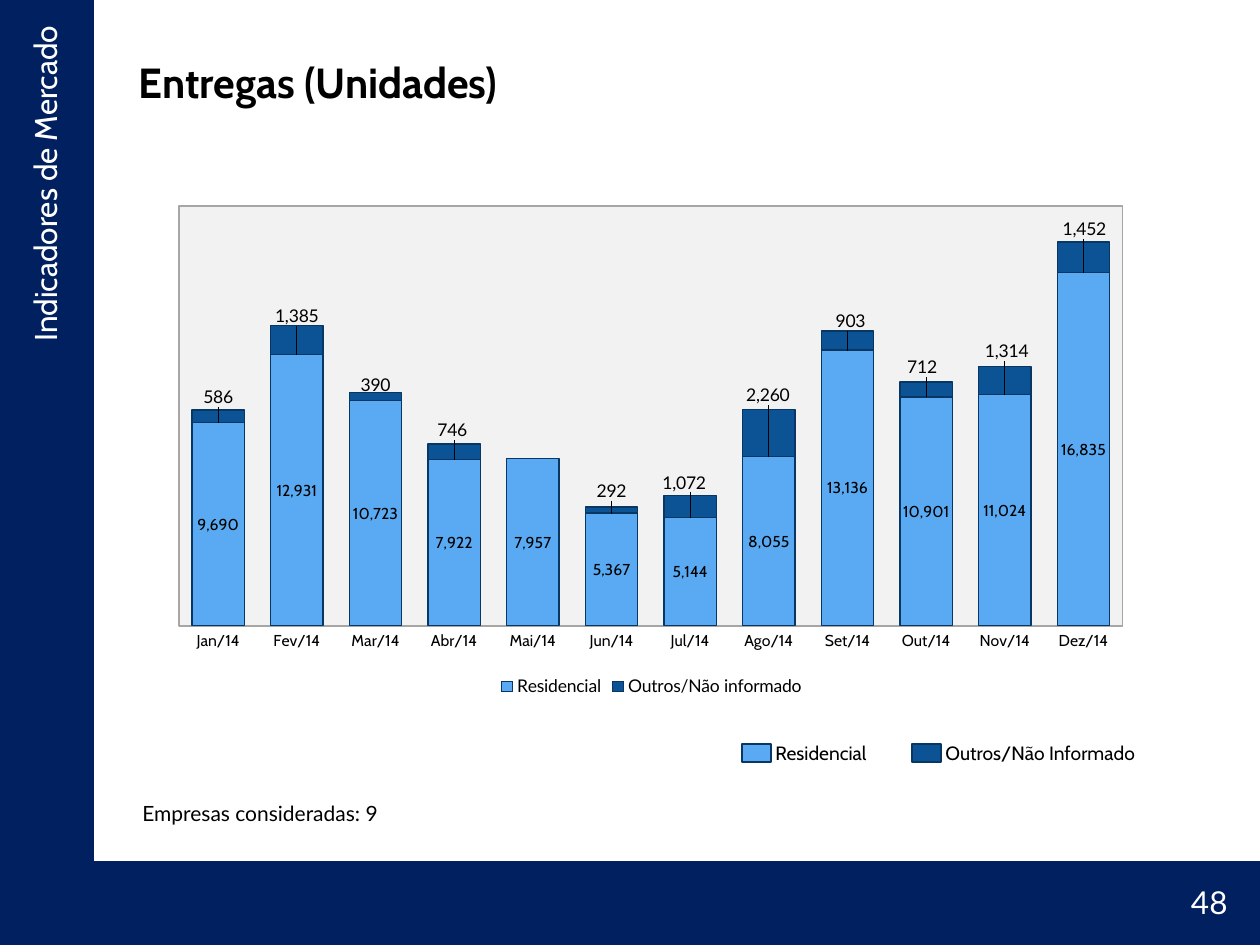
from copy import deepcopy
from dataclasses import dataclass

from lxml import etree
from pptx import Presentation
from pptx import util as u
from pptx.chart.data import CategoryChartData
from pptx.dml.color import RGBColor
from pptx.enum import chart as ch, shapes, text
from pptx.oxml.ns import qn

PX = u.Inches(1) / 126
COLORS = {"navy": "002060", "light": "59AAF2", "dark": "0B5394", "edge": "083763",
          "plot": "F2F2F2", "frame": "A6A6A6", "black": "000000", "white": "FFFFFF"}

MONTHS = "Jan Fev Mar Abr Mai Jun Jul Ago Set Out Nov Dez".split()
RESIDENTIAL = (9690, 12931, 10723, 7922, 7957, 5367, 5144, 8055, 13136, 10901, 11024, 16835)
OTHERS = (586, 1385, 390, 746, 0, 292, 1072, 2260, 903, 712, 1314, 1452)
# Label shifts in px, by month index; None removes the label
LABEL_SHIFTS = {0: (0, -10), 1: (0, -23), 3: (-2, -14), 4: None, 5: (0, -7), 6: (-6, -20),
                7: (-1, -46), 8: (3, -14), 9: (-4, -15), 10: (2, -28), 11: (1, -28)}


@dataclass
class Box:
    x: int
    y: int
    w: int
    h: int

    def emu(self) -> list:
        return [u.Emu(round(v * PX)) for v in (self.x, self.y, self.w, self.h)]


@dataclass
class Label:
    words: str
    box: Box
    size: int
    font: str = "Cabin"
    color: str = "black"
    align: text.PP_ALIGN = text.PP_ALIGN.LEFT
    rotation: int = 0
    wrap: bool = True


CHART = Box(160, 195, 983, 507)
PLOT = Box(19, 11, 944, 420)  # relative to the chart


def rgb(name: str) -> RGBColor:
    return RGBColor.from_string(COLORS[name])


def set_font(font, size: int, name: str, color: str = "black", bold: bool = False) -> None:
    for key, value in {"size": u.Pt(size), "name": name, "bold": bold}.items():
        setattr(font, key, value)
    font.color.rgb = rgb(color)


def paint(fmt, fill: str, line: str, width: float) -> None:
    fmt.fill.solid()
    fmt.fill.fore_color.rgb = rgb(fill)
    fmt.line.color.rgb = rgb(line)
    fmt.line.width = u.Pt(width)


def add_rect(slide, box: Box, fill: str, line: str = "") -> None:
    sp = slide.shapes.add_shape(shapes.MSO_SHAPE.RECTANGLE, *box.emu())
    sp.shadow.inherit = False
    paint(sp, fill, line or fill, 1)
    if not line:
        sp.line.fill.background()


def add_label(slide, label: Label) -> None:
    sp = slide.shapes.add_textbox(*label.box.emu())
    sp.rotation = label.rotation
    tf = sp.text_frame
    tf.word_wrap = label.wrap
    p = tf.paragraphs[0]
    p.alignment = label.align
    r = p.add_run()
    r.text = label.words
    set_font(r.font, label.size, label.font, label.color)


def sub(parent, tag: str, **attrs: str):
    return etree.SubElement(parent, qn(f"c:{tag}"), **attrs)


def add_layout(parent, **values: object):
    layout = sub(parent, "layout")
    manual = sub(layout, "manualLayout")
    for tag, value in values.items():
        sub(manual, tag, val=str(value))
    return layout


def shift_labels(labels_xml) -> None:
    """Move or remove single labels, keeping the format of the series labels."""
    for leader in labels_xml.findall(qn("c:showLeaderLines")):
        labels_xml.remove(leader)
    shared = [deepcopy(child) for child in labels_xml]
    for place, (idx, shift) in enumerate(LABEL_SHIFTS.items()):
        d_lbl = etree.Element(qn("c:dLbl"))
        sub(d_lbl, "idx", val=str(idx))
        if shift is None:
            sub(d_lbl, "delete", val="1")
        else:
            add_layout(d_lbl, x=round(shift[0] / CHART.w, 4), y=round(shift[1] / CHART.h, 4))
            d_lbl.extend([deepcopy(child) for child in shared])
        labels_xml.insert(place, d_lbl)


def format_plot_area(area) -> None:
    """Fix the plot area's position and give it a fill and a frame."""
    for old in area.findall(qn("c:layout")):
        area.remove(old)
    area.insert(0, add_layout(
        area, layoutTarget="inner", xMode="edge", yMode="edge",
        x=round(PLOT.x / CHART.w, 4), y=round(PLOT.y / CHART.h, 4),
        w=round(PLOT.w / CHART.w, 4), h=round(PLOT.h / CHART.h, 4)))
    sp_pr = sub(area, "spPr")
    line = etree.Element(qn("a:ln"), w=str(int(u.Pt(0.75))))
    for parent, color in ((sp_pr, "plot"), (line, "frame")):
        solid = etree.SubElement(parent, qn("a:solidFill"))
        etree.SubElement(solid, qn("a:srgbClr"), val=COLORS[color])
    sp_pr.append(line)


def add_deliveries_chart(slide) -> None:
    data = CategoryChartData(number_format="#,##0")
    data.categories = [f"{month}/14" for month in MONTHS]
    data.add_series("Residencial", RESIDENTIAL)
    data.add_series("Outros/Não informado", OTHERS)
    chart = slide.shapes.add_chart(ch.XL_CHART_TYPE.COLUMN_STACKED, *CHART.emu(), data).chart
    set_font(chart.font, 10, "Lato")
    chart.has_title = False
    chart.has_legend = True
    chart.legend.position = ch.XL_LEGEND_POSITION.BOTTOM
    chart.legend.include_in_layout = False

    # Axes
    axis = chart.value_axis
    for key, value in {"minimum_scale": 0, "maximum_scale": 20000,
                       "has_major_gridlines": False, "visible": False}.items():
        setattr(axis, key, value)
    months = chart.category_axis
    months.major_tick_mark = ch.XL_TICK_MARK.NONE
    months.format.line.color.rgb = rgb("frame")
    set_font(months.tick_labels.font, 9, "Cabin")

    # Columns and their labels
    plot = chart.plots[0]
    plot.gap_width, plot.overlap, plot.vary_by_categories = 50, 100, False
    styles = (("light", 9, "Cabin", ch.XL_LABEL_POSITION.CENTER),
              ("dark", 10, "Lato", ch.XL_LABEL_POSITION.INSIDE_BASE))
    for series, (fill, size, font, position) in zip(plot.series, styles):
        paint(series.format, fill, "edge", 0.75)
        labels = series.data_labels
        for key, value in {"show_value": True, "number_format": "#,##0",
                           "number_format_is_linked": False, "position": position}.items():
            setattr(labels, key, value)
        set_font(labels.font, size, font)

    area = chart.element.find(f".//{qn('c:plotArea')}")
    shift_labels(area.findall(f".//{qn('c:dLbls')}")[-1])
    format_plot_area(area)


def main() -> None:
    prs = Presentation()
    prs.slide_width, prs.slide_height = u.Inches(10), u.Inches(7.5)
    slide = prs.slides.add_slide(prs.slide_layouts[5])

    # Side and bottom bands
    add_rect(slide, Box(0, 861, 1260, 84), "navy")
    add_rect(slide, Box(0, 0, 94, 861), "navy")

    # Title
    title = slide.shapes.title
    title.left, title.top, title.width, title.height = Box(126, 38, 1071, 88).emu()
    tf = title.text_frame
    tf.text = "Entregas (Unidades)"
    tf.vertical_anchor = text.MSO_ANCHOR.MIDDLE
    tf.paragraphs[0].alignment = text.PP_ALIGN.LEFT
    set_font(tf.paragraphs[0].runs[0].font, 24, "Cabin", bold=True)

    add_deliveries_chart(slide)

    # Large legend
    for x, fill, words in ((742, "light", "Residencial"), (912, "dark", "Outros/Não Informado")):
        add_rect(slide, Box(x, 744, 29, 18), fill, "edge")
        add_label(slide, Label(words, Box(x + 21, 735, 263, 36), 11))

    # Section name, note and page number
    right = text.PP_ALIGN.RIGHT
    for label in (
        Label("Indicadores de Mercado", Box(-321, 354, 731, 50), 18, "Cabin", "white", right, 270),
        Label("Empresas consideradas: 9", Box(130, 794, 267, 38), 12, "Lato", wrap=False),
        Label("48", Box(1124, 877, 116, 50), 18, "Lato", "white", right),
    ):
        add_label(slide, label)

    prs.save("out.pptx")


if __name__ == "__main__":
    main()
